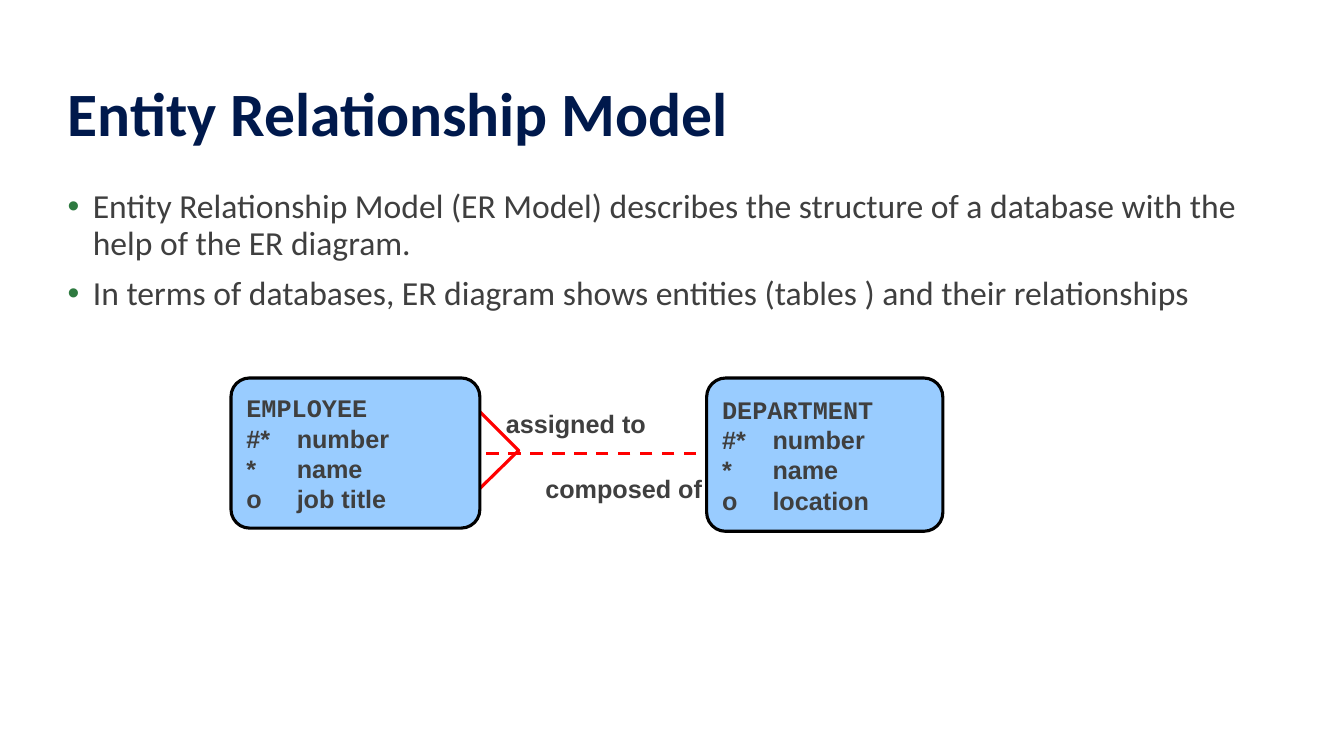
from lxml.etree import SubElement
from pptx import Presentation
from pptx.dml.color import RGBColor
from pptx.enum.dml import MSO_LINE_DASH_STYLE as Dash
from pptx.enum.shapes import MSO_CONNECTOR as Connector, MSO_SHAPE as Shape
from pptx.enum.text import MSO_ANCHOR as Anchor, MSO_AUTO_SIZE as AutoSize, PP_ALIGN as Align
from pptx.oxml.ns import qn
from pptx.util import Emu, Pt

INK = "3F3F3F"
RED = "FF0000"
TITLE_FONT = {"name": "Calibri", "size": Pt(44), "bold": True}
BODY_FONT = {"name": "Calibri", "size": Pt(24)}
ENTITY_FONT = {"name": "Courier New", "size": Pt(18), "bold": True}
LABEL_FONT = {"name": "Arial", "size": Pt(18), "bold": True}


def px(length):
    return Emu(length * 9525)


def px_all(lengths):
    return [px(length) for length in lengths]


def rgb(code):
    return RGBColor.from_string(code)


def set_format(target, values):
    for key, value in values.items():
        setattr(target, key, value)


def write(paragraph, wording, font, color=INK, **layout):
    run = paragraph.add_run()
    run.text = wording
    set_format(run.font, font)
    run.font.color.rgb = rgb(color)
    set_format(paragraph, layout)


def stroke(line, color):
    line.color.rgb = rgb(color)
    line.width = Pt(2.25)


def add_frame(slide, box, **layout):
    frame = slide.shapes.add_textbox(*px_all(box)).text_frame
    set_format(frame, {"word_wrap": True, **layout})
    return frame


def add_title(slide, box, wording):
    frame = add_frame(slide, box, vertical_anchor=Anchor.BOTTOM, margin_bottom=0)
    write(frame.paragraphs[0], wording, TITLE_FONT, "00194C", line_spacing=0.9)


def add_bullets(slide, box, points):
    frame = add_frame(slide, box)
    for index, point in enumerate(points):
        paragraph = frame.add_paragraph() if index else frame.paragraphs[0]
        write(paragraph, point, BODY_FONT, line_spacing=0.9, space_before=Pt(10))
        properties = paragraph._p.get_or_add_pPr()
        properties.set("marL", str(px(24)))
        properties.set("indent", str(-px(24)))
        bullet_color = SubElement(properties, qn("a:buClr"))
        SubElement(bullet_color, qn("a:srgbClr"), val="2E7A40")
        SubElement(properties, qn("a:buFont"), typeface="Arial")
        SubElement(properties, qn("a:buChar"), char="•")


def add_entity(slide, box, name, attributes):
    entity = slide.shapes.add_shape(Shape.ROUNDED_RECTANGLE, *px_all(box))
    entity.adjustments[0] = 0.124
    entity.shadow.inherit = False
    entity.fill.solid()
    entity.fill.fore_color.rgb = rgb("99CCFF")
    stroke(entity.line, "000000")
    frame = entity.text_frame
    set_format(frame, {"word_wrap": False, "vertical_anchor": Anchor.MIDDLE})
    write(frame.paragraphs[0], name, ENTITY_FONT, alignment=Align.LEFT)
    for attribute in attributes:
        write(frame.add_paragraph(), attribute, LABEL_FONT, alignment=Align.LEFT)


def add_relationship(slide, left, top):
    link = slide.shapes.add_connector(
        Connector.STRAIGHT, *px_all((left + 464, top + 72, left + 209, top + 72)))
    stroke(link.line, RED)
    link.line.dash_style = Dash.DASH
    SubElement(link._element.spPr, qn("a:effectLst"))

    builder = slide.shapes.build_freeform(px(left + 237), px(top + 32))
    builder.add_line_segments(
        [px_all((left + 274, top + 69)), px_all((left + 226, top + 116))], close=False)
    crow_foot = builder.convert_to_shape()
    crow_foot.shadow.inherit = False
    crow_foot.fill.background()
    stroke(crow_foot.line, RED)


def add_label(slide, box, wording, wrap):
    frame = add_frame(slide, box, word_wrap=wrap, auto_size=AutoSize.SHAPE_TO_FIT_TEXT)
    write(frame.paragraphs[0], wording, LABEL_FONT, alignment=Align.CENTER)


def add_diagram(slide, left, top):
    add_relationship(slide, left, top)
    add_entity(slide, (left, top, 237, 143), "EMPLOYEE",
               ["#* \tnumber", "*\tname", "o\tjob title"])
    add_entity(slide, (left + 453, top, 225, 146), "DEPARTMENT",
               ["#* \tnumber", "*\tname", "o\tlocation"])
    add_label(slide, (left + 252, top + 24, 153, 38), "assigned to", False)
    add_label(slide, (left + 247, top + 86, 254, 38), "composed of", True)


def main():
    deck = Presentation()
    set_format(deck, {"slide_width": px(1280), "slide_height": px(720)})
    slide = deck.slides.add_slide(deck.slide_layouts[6])
    add_title(slide, (55, 22, 1138, 121), "Entity Relationship Model")
    add_bullets(slide, (55, 176, 1138, 473), [
        "Entity Relationship Model (ER Model) describes the structure of a database "
        "with the help of the ER diagram.",
        "In terms of databases, ER diagram shows entities (tables ) and their relationships",
    ])
    add_diagram(slide, 220, 360)
    deck.save("out.pptx")


if __name__ == "__main__":
    main()
